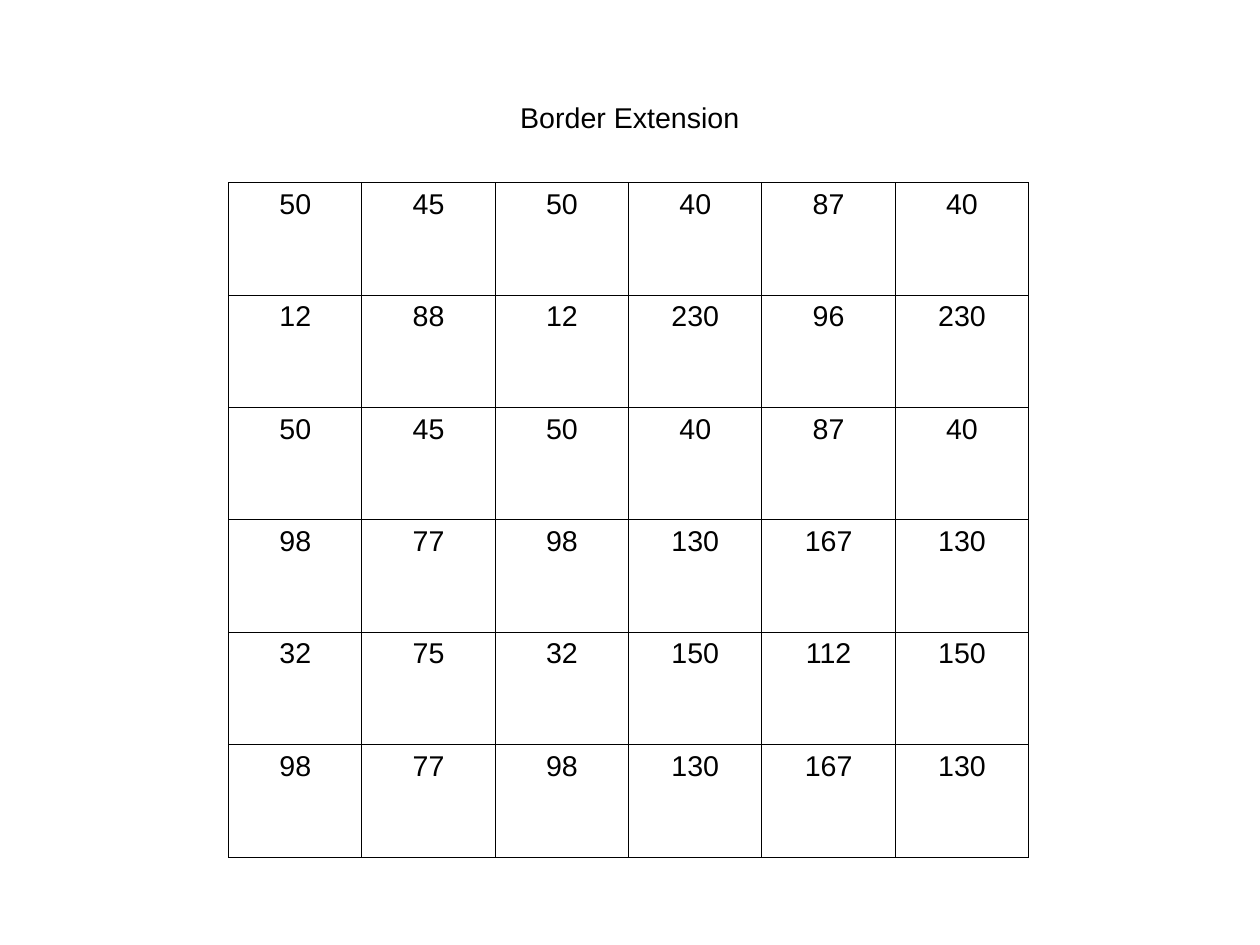
from lxml import etree
from pptx import Presentation
from pptx import util as u
from pptx.dml.color import RGBColor
from pptx.enum import text
from pptx.oxml.ns import qn

TITLE = "Border Extension"
PIXELS = [
    (50, 45, 50, 40, 87, 40),
    (12, 88, 12, 230, 96, 230),
    (50, 45, 50, 40, 87, 40),
    (98, 77, 98, 130, 167, 130),
    (32, 75, 32, 150, 112, 150),
    (98, 77, 98, 130, 167, 130),
]
COLORS = {"text": "000000", "border": "000000"}
FONT = "Arial"
GRID_LEFT, GRID_TOP, GRID_WIDTH, GRID_HEIGHT = 2, 1.6, 7, 5.9


def write(frame, words, size=18, color=COLORS["text"], align=text.PP_ALIGN.CENTER):
    para = frame.paragraphs[0]
    para.alignment = align
    span = para.add_run()
    span.text = words
    span.font.name = FONT
    span.font.size = u.Pt(size)
    span.font.color.rgb = RGBColor.from_string(color)


def add_borders(cell, width=0.75):
    properties = cell._tc.get_or_add_tcPr()
    for side in ("a:lnL", "a:lnR", "a:lnT", "a:lnB"):
        line = etree.SubElement(properties, qn(side), w=str(u.Pt(width)))
        fill = etree.SubElement(line, qn("a:solidFill"))
        etree.SubElement(fill, qn("a:srgbClr"), val=COLORS["border"])


def add_title(page):
    box = page.shapes.add_textbox(
        u.Inches(0.55), u.Inches(0.33), u.Inches(9.92), u.Inches(1.38))
    frame = box.text_frame
    frame.word_wrap = False
    frame.vertical_anchor = text.MSO_ANCHOR.MIDDLE
    frame.margin_left = frame.margin_right = 0
    frame.margin_top = frame.margin_bottom = 0
    write(frame, TITLE)


def add_pixel_grid(page):
    table = page.shapes.add_table(
        len(PIXELS), len(PIXELS[0]), u.Inches(GRID_LEFT), u.Inches(GRID_TOP),
        u.Inches(GRID_WIDTH), u.Inches(GRID_HEIGHT)).table
    table.first_row = False
    table.horz_banding = False
    for row, values in enumerate(PIXELS):
        for column, value in enumerate(values):
            cell = table.cell(row, column)
            add_borders(cell)
            cell.fill.background()
            write(cell.text_frame, str(value))


def main():
    deck = Presentation()
    deck.slide_width = u.Cm(28)
    deck.slide_height = u.Cm(21)
    page = deck.slides.add_slide(deck.slide_layouts[6])
    add_title(page)
    add_pixel_grid(page)
    deck.save("out.pptx")


if __name__ == "__main__":
    main()
